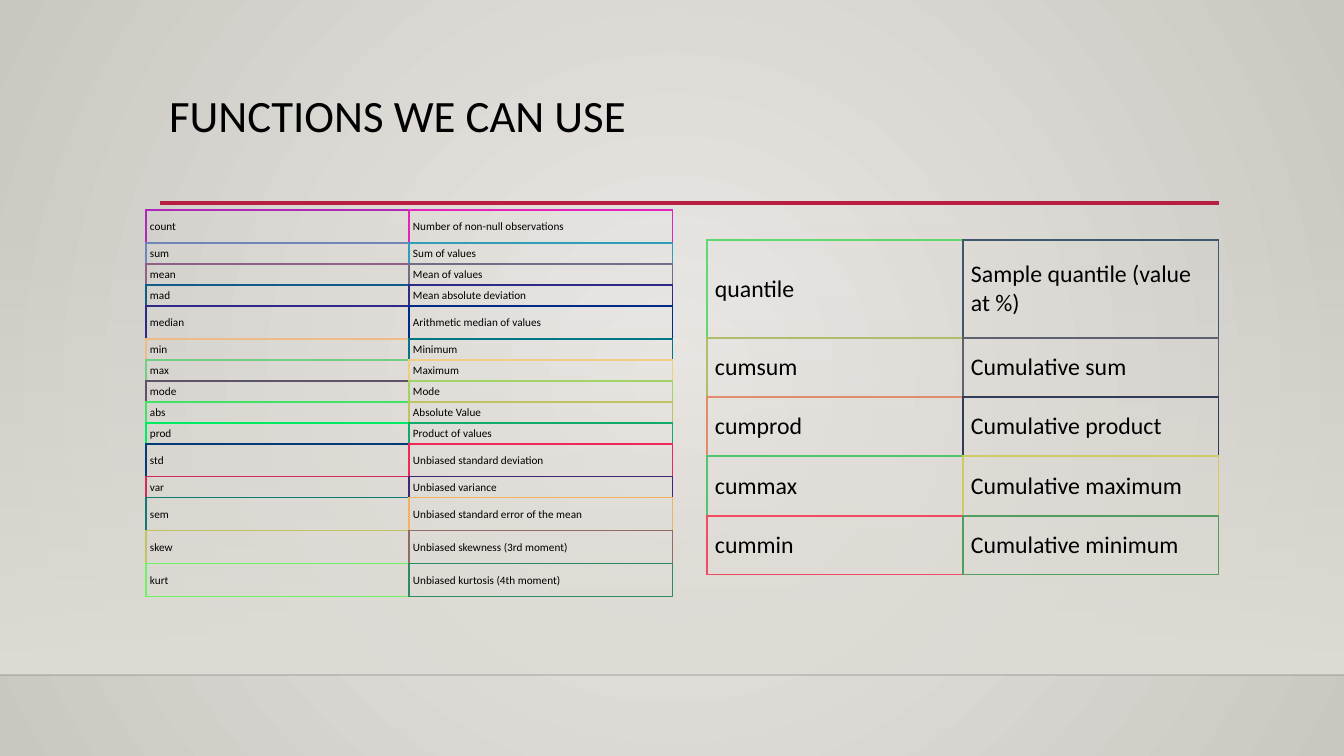
import pptx
import pptx.dml.color
import pptx.enum.shapes
import pptx.enum.text
import pptx.oxml
import pptx.oxml.ns
import pptx.util

THEME = {
    "font": "Calibri",
    "text": "000000",
    "accent": "B71E42",
    "floor_line": "000001",
    "floor": "DFDBD5",
    "background": ("ECEAE7", "CAC7C1"),
    "title_size": 32,
    "left_size": 8,
    "right_size": 17,
}
NAMESPACE = pptx.oxml.ns.nsdecls("a")
rgb = pptx.dml.color.RGBColor.from_string


def px(length):
    return pptx.util.Emu(round(length * 12192000 / 1344))


def style_text(text_frame, size):
    for run in text_frame.paragraphs[0].runs:
        run.font.name = THEME["font"]
        run.font.size = pptx.util.Pt(size)
        run.font.color.rgb = rgb(THEME["text"])


presentation = pptx.Presentation()
presentation.slide_width = px(1344)
presentation.slide_height = px(756)
slide = presentation.slides.add_slide(presentation.slide_layouts[5])

background_fill = slide.background.fill
background_fill.gradient()
for stop, color in zip(background_fill.gradient_stops, THEME["background"]):
    stop.color.rgb = rgb(color)
linear = slide.element.xpath(".//p:bg//a:lin")[0]
linear.getparent().replace(linear, pptx.oxml.parse_xml(
    f'<a:path {NAMESPACE} path="circle">'
    '<a:fillToRect l="50000" t="50000" r="50000" b="50000"/></a:path>'))

floor = slide.shapes.add_shape(
    pptx.enum.shapes.MSO_SHAPE.RECTANGLE, px(0), px(223), px(1344), px(452))
floor.shadow.inherit = False
floor.line.fill.background()
floor.fill.gradient()
floor.fill.gradient_angle = 270
for stop, position in zip(floor.fill.gradient_stops, (0, 1)):
    stop.color.rgb = rgb(THEME["floor"])
    stop.position = position
floor.element.xpath(".//a:gs/a:srgbClr")[0].append(
    pptx.oxml.parse_xml(f'<a:alpha {NAMESPACE} val="0"/>'))

for left, right, y, color, width, opacity in (
    (0, 1344, 675, THEME["floor_line"], 1, 20000),
    (160, 1219, 203, THEME["accent"], 2.5, 100000),
):
    line = slide.shapes.add_connector(
        pptx.enum.shapes.MSO_CONNECTOR.STRAIGHT, px(left), px(y), px(right), px(y))
    line.line.color.rgb = rgb(color)
    line.line.width = pptx.util.Pt(width)
    line.element.xpath(".//a:ln//a:srgbClr")[0].append(
        pptx.oxml.parse_xml(f'<a:alpha {NAMESPACE} val="{opacity}"/>'))
    line.element.spPr.append(pptx.oxml.parse_xml(f"<a:effectLst {NAMESPACE}/>"))

title = slide.shapes.title
title.left, title.top, title.width, title.height = px(159), px(89), px(1058), px(117)
title.text_frame.text = "FUNCTIONS WE CAN USE"
title.text_frame.vertical_anchor = pptx.enum.text.MSO_ANCHOR.TOP
title.text_frame.paragraphs[0].alignment = pptx.enum.text.PP_ALIGN.LEFT
title.text_frame.paragraphs[0].line_spacing = 0.9
style_text(title.text_frame, THEME["title_size"])

statistics = [
    ("count", "Number of non-null observations", "B028B9", "E025B9", 33),
    ("sum", "Sum of values", "7085B8", "309EB8", 21),
    ("mean", "Mean of values", "906187", "706F87", 21),
    ("mad", "Mean absolute deviation", "105D87", "302A87", 21),
    ("median", "Arithmetic median of values", "302A87", "002A87", 33),
    ("min", "Minimum", "F0BC86", "007686", 21),
    ("max", "Maximum", "70CE85", "F0CC85", 21),
    ("mode", "Mode", "605267", "A0D465", 21),
    ("abs", "Absolute Value", "40E364", "C0C363", 21),
    ("prod", "Product of values", "00ED61", "10AC69", 21),
    ("std", "Unbiased standard deviation", "003C78", "F02759", 33),
    ("var", "Unbiased variance", "D02C59", "402678", 21),
    ("sem", "Unbiased standard error of the mean", "107B76", "F0B360", 33),
    ("skew", "Unbiased skewness (3rd moment)", "C0C363", "906D64", 33),
    ("kurt", "Unbiased kurtosis (4th moment)", "70F265", "308966", 33),
]
cumulatives = [
    ("quantile", "Sample quantile (value at %)", "60D86F", "40576D", 98),
    ("cumsum", "Cumulative sum", "B0BD6D", "60616E", 59),
    ("cumprod", "Cumulative product", "E08D6D", "303C59", 59),
    ("cummax", "Cumulative maximum", "50C46E", "D0CB60", 60),
    ("cummin", "Cumulative minimum", "F04C61", "509F61", 59),
]

for functions, left, top, column_width, size, side_margin, end_margin in (
    (statistics, 146, 210, 263, THEME["left_size"], 4, 3),
    (cumulatives, 707, 240, 256, THEME["right_size"], 8, 8),
):
    height = sum(function[4] for function in functions)
    table = slide.shapes.add_table(
        len(functions), 2, px(left), px(top), px(2 * column_width), px(height)).table
    table.first_row = False
    table.horz_banding = False
    for column in table.columns:
        column.width = px(column_width)
    for row_index, function in enumerate(functions):
        table.rows[row_index].height = px(function[4])
        colors = function[2:4]
        last_row = row_index == len(functions) - 1
        for column_index in range(2):
            cell = table.cell(row_index, column_index)
            cell.text_frame.text = function[column_index]
            style_text(cell.text_frame, size)
            cell.vertical_anchor = pptx.enum.text.MSO_ANCHOR.MIDDLE
            cell.margin_left = cell.margin_right = px(side_margin)
            cell.margin_top = cell.margin_bottom = px(end_margin)

            own = colors[column_index]
            below = own if last_row else functions[row_index + 1][2 + column_index]
            properties = cell._tc.get_or_add_tcPr()
            for side, color, width in (
                ("L", own, 1),
                ("R", colors[1], 0.75 if column_index == 1 else 1),
                ("T", own, 1),
                ("B", below, 0.75 if last_row else 1),
            ):
                properties.append(pptx.oxml.parse_xml(
                    f'<a:ln{side} {NAMESPACE} w="{pptx.util.Pt(width)}">'
                    f'<a:solidFill><a:srgbClr val="{color}"/></a:solidFill></a:ln{side}>'))
            cell.fill.background()

presentation.save("out.pptx")
